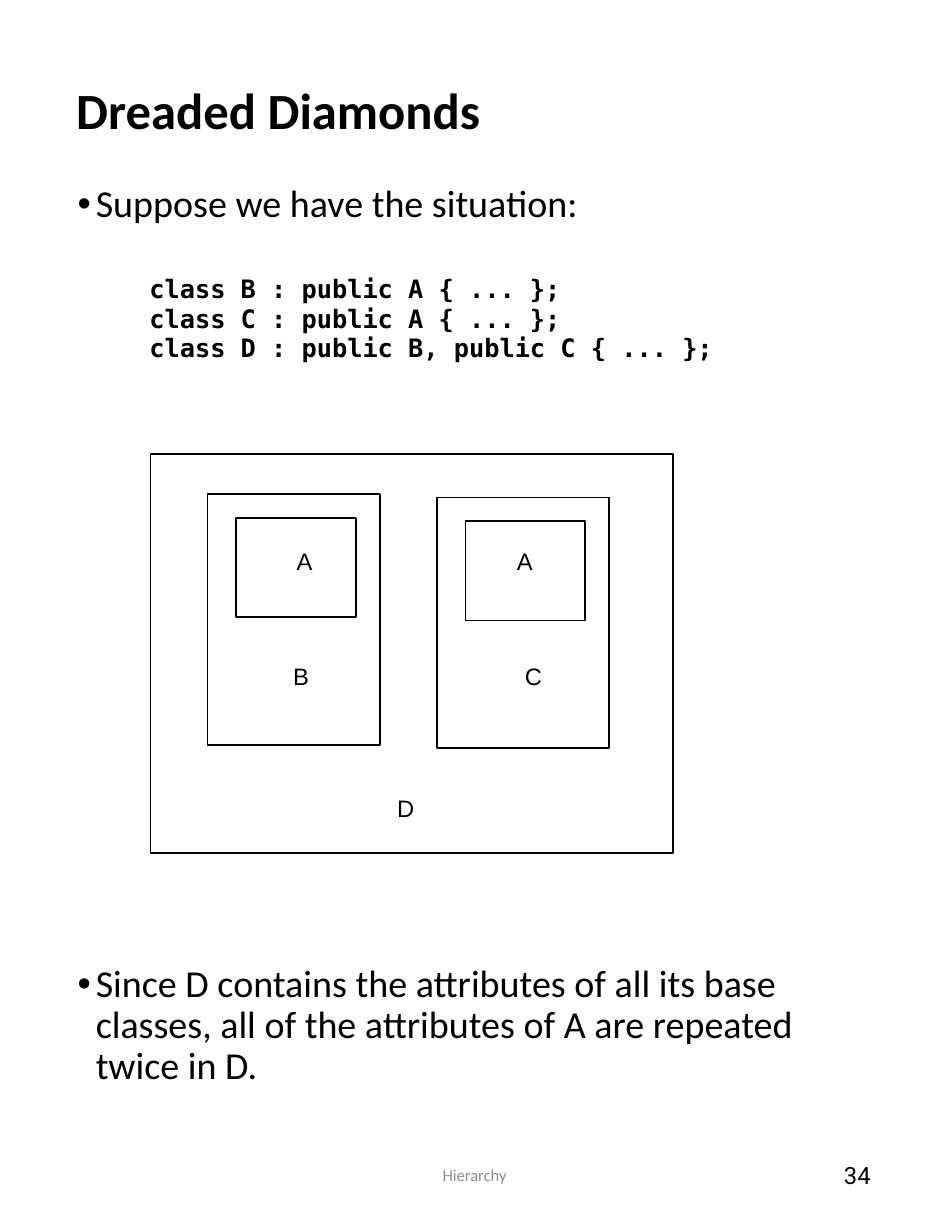
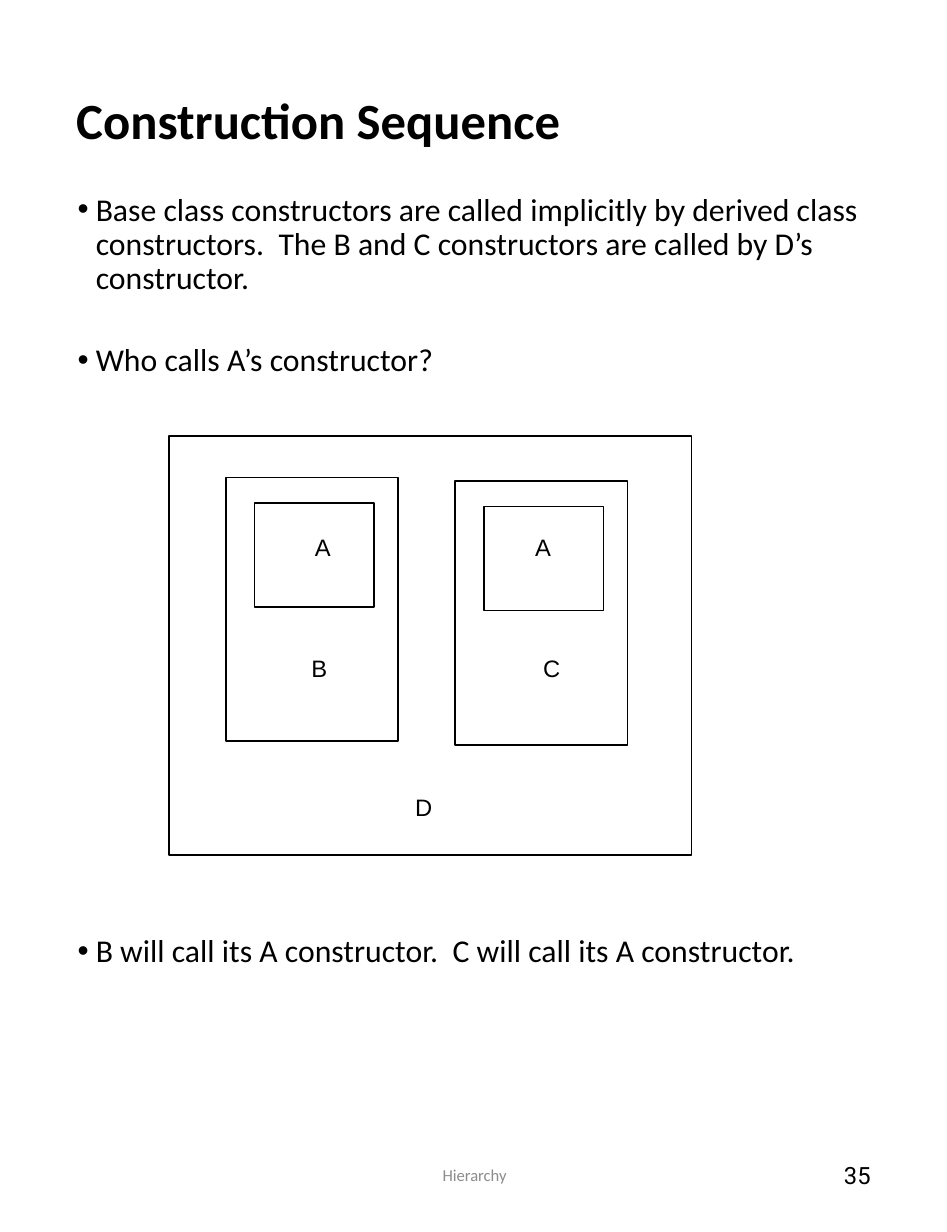
from dataclasses import dataclass

from lxml import etree
from pptx import Presentation, util as u
from pptx.dml.color import RGBColor
from pptx.enum import shapes, text
from pptx.oxml.ns import qn


@dataclass(frozen=True)
class Theme:
    ink: RGBColor = RGBColor(0x00, 0x00, 0x00)
    muted: RGBColor = RGBColor(0x8C, 0x8C, 0x8C)
    body_font: str = "Calibri"
    code_font: str = "DejaVu Sans Mono"
    label_font: str = "Arial"
    number_font: str = "Roboto"
    title_size: float = 32
    code_size: float = 16
    label_size: float = 15
    footer_size: float = 10.5
    left: float = 0.57
    width: float = 7.16
    hang: float = 0.16
    code_indent: float = 0.63


class Deck:
    def __init__(self, theme, first_page):
        self.t = theme
        self.page = first_page
        self.prs = Presentation()
        self.prs.slide_width = u.Inches(8.3)
        self.prs.slide_height = u.Inches(10.8)
        self.s = None

    def new_slide(self, title, title_height):
        t = self.t
        self.s = self.prs.slides.add_slide(self.prs.slide_layouts[6])
        tf = self.box(t.left, 0.58, t.width, title_height, inset=0.1, middle=True)
        self.add_text(tf.paragraphs[0], title, t.body_font, t.title_size,
                      bold=True, line_spacing=0.9)
        self.footer()

    def footer(self):
        t = self.t
        tf = self.box(5.86, 10.01, 1.87, 0.58, inset=0.1, middle=True)
        self.add_text(tf.paragraphs[0], str(self.page), t.number_font, t.label_size,
                      alignment=text.PP_ALIGN.RIGHT)
        tf = self.box(2.76, 10.01, 2.8, 0.58, inset=0.1, middle=True)
        self.add_text(tf.paragraphs[0], "Hierarchy", t.body_font, t.footer_size,
                      color=t.muted, alignment=text.PP_ALIGN.CENTER)
        self.page += 1

    def box(self, x, y, w, h, inset=0.11, middle=False, parent=None):
        parent = parent or self.s
        sp = parent.shapes.add_textbox(*map(u.Inches, (x, y, w, h)))
        tf = sp.text_frame
        anchor = text.MSO_ANCHOR.MIDDLE if middle else text.MSO_ANCHOR.TOP
        frame = dict(word_wrap=True, vertical_anchor=anchor,
                     margin_left=u.Inches(inset), margin_right=u.Inches(inset))
        for name, value in frame.items():
            setattr(tf, name, value)
        return tf

    def add_text(self, p, words, font, size, bold=False, color=None, **layout):
        for name, value in layout.items():
            setattr(p, name, value)
        r = p.add_run()
        r.text = words
        for name, value in dict(name=font, size=u.Pt(size), bold=bold).items():
            setattr(r.font, name, value)
        r.font.color.rgb = color or self.t.ink

    def indent(self, p, left, bullet=False):
        pPr = p._p.get_or_add_pPr()
        pPr.set("marL", str(u.Inches(left)))
        if bullet:
            pPr.set("indent", str(-u.Inches(left)))
            etree.SubElement(pPr, qn("a:buFont")).set("typeface", "Arial")
            etree.SubElement(pPr, qn("a:buChar")).set("char", "•")

    def bullets(self, y, h, size, items, gap=0):
        """Bulleted text; returns the frame so that code can follow."""
        t = self.t
        tf = self.box(t.left, y, t.width, h)
        for i, words in enumerate(items):
            p = tf.add_paragraph() if i else tf.paragraphs[0]
            self.indent(p, t.hang, bullet=True)
            self.add_text(p, words, t.body_font, size, line_spacing=0.9,
                          space_before=u.Pt(gap if i else 0))
        return tf

    def code(self, tf, lines, gap):
        for i, line in enumerate(lines):
            p = tf.add_paragraph()
            self.indent(p, self.t.code_indent)
            self.add_text(p, line, self.t.code_font, self.t.code_size, bold=True,
                          line_spacing=u.Pt(18.4), space_before=u.Pt(0 if i else gap))

    def rect(self, parent, x, y, w, h):
        sp = parent.shapes.add_shape(shapes.MSO_SHAPE.RECTANGLE,
                                     *map(u.Inches, (x, y, w, h)))
        sp.shadow.inherit = False
        sp.fill.background()
        sp.line.color.rgb = self.t.ink
        sp.line.width = u.Pt(1)

    def object_layout(self, x, y, stretch=1.0):
        """Object D holding its B and C parts, each with an own A."""
        group = self.s.shapes.add_group_shape()
        rects = [(0, 0, 4.58, 3.5)]
        for dx, dy in ((2.51, 0.38), (0.5, 0.35)):
            rects += [(dx, dy, 1.51, 2.2), (dx + 0.25, dy + 0.21, 1.05, 0.87)]
        for dx, dy, w, h in rects:
            self.rect(group, x + dx, y + dy * stretch, w, h * stretch)
        labels = (("A", 1.17, 0.76), ("A", 3.1, 0.76), ("C", 3.17, 1.77),
                  ("B", 1.14, 1.77), ("D", 2.05, 2.93))
        for name, dx, dy in labels:
            tf = self.box(x + dx, y + dy * stretch, 0.4, 0.36, parent=group)
            self.add_text(tf.paragraphs[0], name, self.t.label_font,
                          self.t.label_size)


def main():
    deck = Deck(Theme(), first_page=34)

    # Repeated base class
    deck.new_slide("Dreaded Diamonds", 0.82)
    tf = deck.bullets(1.57, 1.8, 24, ["Suppose we have the situation:"])
    deck.code(tf, ["class B : public A { ... };",
                   "class C : public A { ... };",
                   "class D : public B, public C { ... };"], gap=31)
    deck.object_layout(1.32, 3.98)
    deck.bullets(8.41, 1.25, 24, [
        "Since D contains the attributes of all its base classes, "
        "all of the attributes of A are repeated twice in D."])

    # Order of constructor calls
    deck.new_slide("Construction Sequence", 0.99)
    deck.bullets(1.65, 1.8, 20, [
        "Base class constructors are called implicitly by derived class "
        "constructors.  The B and C constructors are called by D’s constructor.",
        "Who calls A’s constructor?"], gap=30)
    deck.object_layout(1.48, 3.82, stretch=1.05)
    deck.bullets(8.15, 0.5, 20, [
        "B will call its A constructor.  C will call its A constructor."])

    deck.prs.save("out.pptx")


if __name__ == "__main__":
    main()
